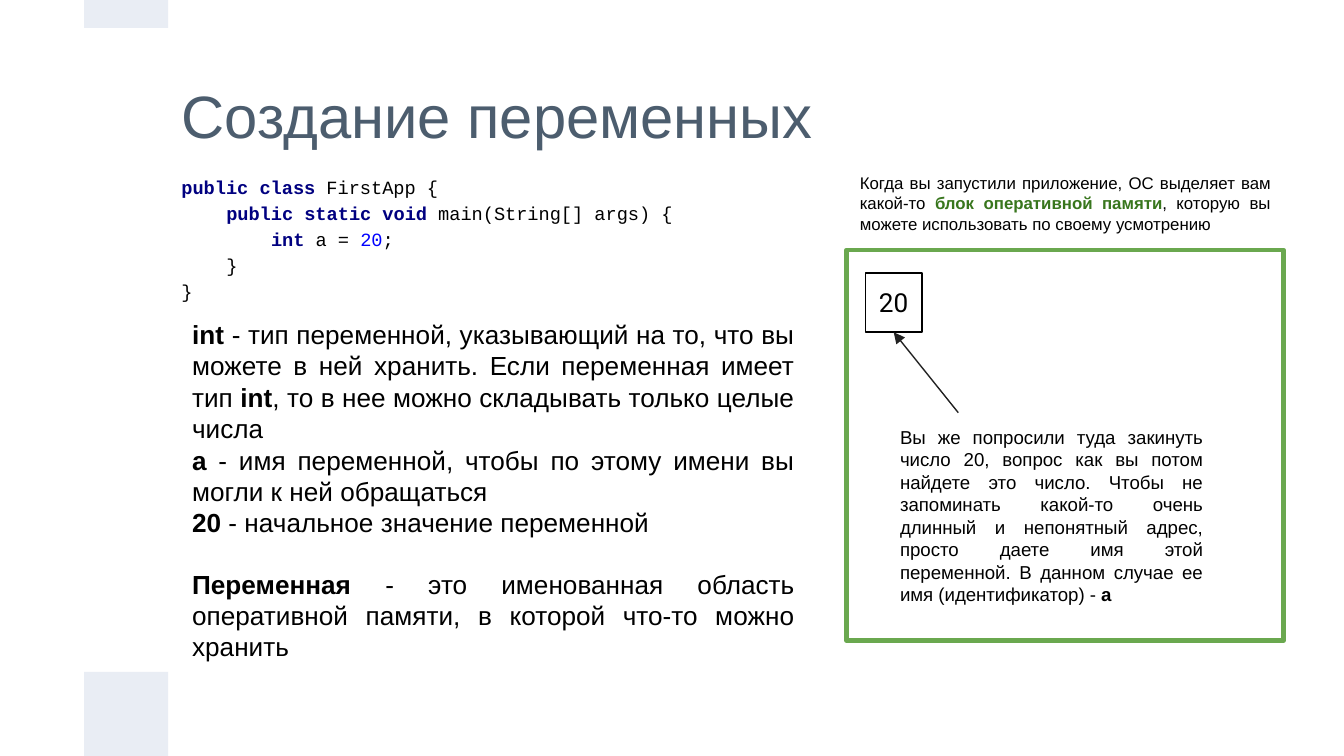
from pptx import Presentation
from pptx.dml.color import RGBColor as RGB
from pptx.enum.shapes import MSO_CONNECTOR as LINK, MSO_SHAPE as SHAPE
from pptx.enum.text import MSO_ANCHOR as ANCHOR, MSO_AUTO_SIZE as AUTO, PP_ALIGN as ALIGN
from pptx.oxml.ns import qn
from pptx.util import Cm, Pt
from lxml.etree import SubElement

HUES = {
    "band": "E9EDF4", "title": "4C5D6E", "text": "000000", "key": "000080",
    "num": "0000FF", "frame": "6AA84F", "mark": "38761D", "arrow": "222222",
}
hue = {name: RGB.from_string(code) for name, code in HUES.items()}


def write(shape, *lines, size, font="Arial", color="text", bold="text",
          align=ALIGN.LEFT, anchor=ANCHOR.TOP, space=1.0, wrap=True):
    frame = shape.text_frame
    frame.word_wrap, frame.auto_size = wrap, AUTO.NONE
    frame.vertical_anchor = anchor
    frame.margin_left = frame.margin_right = Cm(0.25)
    frame.margin_top = frame.margin_bottom = Cm(0.25)
    for i, line in enumerate(lines):
        para = frame.add_paragraph() if i else frame.paragraphs[0]
        para.alignment, para.line_spacing = align, space
        para.space_before = para.space_after = Pt(0)
        props = para._p.get_or_add_pPr()
        props.set("marL", "0")
        props.set("indent", "0")
        SubElement(props, qn("a:buNone"))
        for j, part in enumerate(line.split("*")):
            if part:
                run = para.add_run()
                run.text = part
                run.font.name, run.font.size = font, Pt(size)
                run.font.bold = j % 2 == 1
                run.font.color.rgb = hue[bold if j % 2 else color]
    return frame.paragraphs


def place(shape, left, top, width, height):
    shape.left, shape.top = Cm(left), Cm(top)
    shape.width, shape.height = Cm(width), Cm(height)
    return shape


deck = Presentation()
deck.slide_width, deck.slide_height = Cm(25.4), Cm(14.29)
slide = deck.slides.add_slide(deck.slide_layouts[1])
shapes = slide.shapes
title, body = slide.placeholders

rects = [
    (1.59, 12.7, 1.59, 1.59, "band", None, 0),
    (1.59, 0, 1.59, 0.53, "band", None, 0),
    (16, 4.72, 8.26, 7.39, None, "frame", 2.25),
    (16.36, 5.16, 1.07, 1.12, None, "text", 0.75),
]
for left, top, width, height, fill, line, weight in rects:
    box = shapes.add_shape(SHAPE.RECTANGLE, Cm(left), Cm(top), Cm(width), Cm(height))
    box.shadow.inherit = False
    if fill:
        box.fill.solid()
        box.fill.fore_color.rgb = hue[fill]
        box.line.fill.background()
    else:
        box.fill.background()
        box.line.color.rgb = hue[line]
        box.line.width = Pt(weight)
write(box, "20", size=14, font="Roboto", wrap=False)

write(place(title, 3.18, 0.58, 19.05, 3.18), "Создание переменных",
      size=32, color="title", anchor=ANCHOR.MIDDLE)

code = shapes.add_textbox(Cm(3.18), Cm(3.02), Cm(11.48), Cm(2.9))
rows = write(
    code,
    "*public class* FirstApp {",
    "*public static void* main(String[] args) {",
    "*int* a = *20*;",
    "}",
    "}",
    size=10, font="Courier New", bold="key", space=1.15)
for row, depth in zip(rows, (0, 1, 2, 1, 0)):
    row._p.pPr.set("marL", str(Pt(24 * depth)))
value = rows[2].runs[2].font
value.bold, value.color.rgb = False, hue["num"]

terms = write(
    place(body, 3.38, 5.77, 11.89, 7.09),
    "*int *- тип переменной, указывающий на то, что вы можете в ней хранить. "
    "Если переменная имеет тип *int*, то в нее можно складывать только целые числа",
    "*a* - имя переменной, чтобы по этому имени вы могли к ней обращаться",
    "*20* - начальное значение переменной",
    "*Переменная *- это именованная область оперативной памяти, "
    "в которой что-то можно хранить",
    size=14, align=ALIGN.JUSTIFY)
terms[-1].space_before = Pt(16)

intro = shapes.add_textbox(Cm(16), Cm(3.02), Cm(8.26), Cm(1.68))
write(intro,
      "Когда вы запустили приложение, ОС выделяет вам какой-то "
      "*блок оперативной памяти*, которую вы можете использовать по своему усмотрению",
      size=9, bold="mark", align=ALIGN.JUSTIFY)

note = shapes.add_textbox(Cm(16.76), Cm(7.8), Cm(6.22), Cm(3.94))
write(note,
      "Вы же попросили туда закинуть число 20, вопрос как вы потом найдете это число. "
      "Чтобы не запоминать какой-то очень длинный и непонятный адрес, просто даете имя "
      "этой переменной. В данном случае ее имя (идентификатор) - *a*",
      size=10, align=ALIGN.JUSTIFY)

arrow = shapes.add_connector(LINK.STRAIGHT, Cm(18.11), Cm(7.8), Cm(16.89), Cm(6.28))
arrow.line.color.rgb, arrow.line.width = hue["arrow"], Pt(0.75)
SubElement(arrow.line._get_or_add_ln(), qn("a:tailEnd"), type="triangle")
SubElement(arrow._element.spPr, qn("a:effectLst"))

deck.save("out.pptx")
